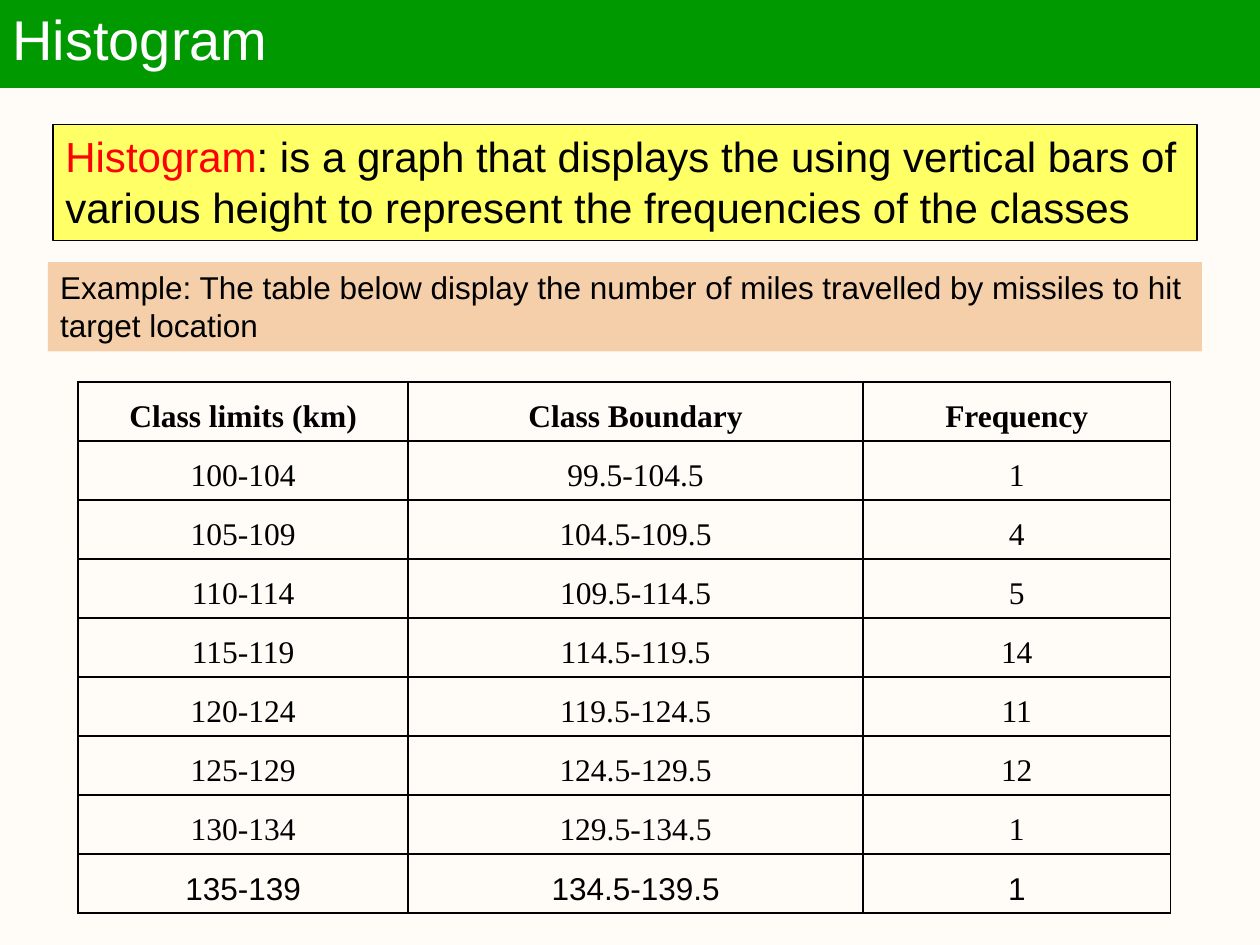
from lxml.etree import SubElement
from pptx import Presentation
from pptx.dml.color import RGBColor
from pptx.enum.shapes import MSO_SHAPE
from pptx.enum.text import MSO_ANCHOR, PP_ALIGN
from pptx.oxml.ns import qn
from pptx.util import Inches, Pt

HUES = {"page": "FFFCF7", "green": "009900", "lemon": "FFFF66", "peach": "F4CFAA",
        "red": "FF0000", "black": "000000", "white": "FFFFFF"}
HEADS = ["Class limits (km)", "Class Boundary", "Frequency"]
COUNTS = [1, 4, 5, 14, 11, 12, 1, 1]
START, STEP = 100, 5
WIDTHS = [2.62, 3.61, 2.44]


def hue(name):
    return RGBColor.from_string(HUES[name])


def add_run(para, text, color="black", **form):
    run = para.add_run()
    run.text = text
    run.font.color.rgb = hue(color)
    for key, value in ({"name": "Arial"} | form).items():
        setattr(run.font, key, value)


def add_panel(slide, box, fill, runs, size, line=None, anchor=MSO_ANCHOR.TOP, lead=None):
    """Draw a filled box holding one paragraph of (text, color) runs."""
    shape = slide.shapes.add_shape(MSO_SHAPE.RECTANGLE, *map(Inches, box))
    shape.shadow.inherit = False
    shape.fill.solid()
    shape.fill.fore_color.rgb = hue(fill)
    if line:
        shape.line.color.rgb = hue(line)
        shape.line.width = Pt(0.75)
    else:
        shape.line.fill.background()
    frame = shape.text_frame
    frame.word_wrap = True
    frame.vertical_anchor = anchor
    para = frame.paragraphs[0]
    para.alignment = PP_ALIGN.LEFT
    if lead:
        para.line_spacing = lead
    for text, color in runs:
        add_run(para, text, color, size=Pt(size))


def add_border(cell):
    props = cell._tc.get_or_add_tcPr()
    for place, side in enumerate(("lnL", "lnR", "lnT", "lnB")):
        line = SubElement(props, qn(f"a:{side}"), w=str(Pt(1)))
        fill = SubElement(line, qn("a:solidFill"))
        SubElement(fill, qn("a:srgbClr"), val=HUES["black"])
        props.insert(place, line)


def class_rows():
    for i, count in enumerate(COUNTS):
        low = START + i * STEP
        high = low + STEP - 1
        yield [f"{low}-{high}", f"{low - 0.5}-{high + 0.5}", str(count)]


def add_grid(slide, box):
    rows = [HEADS, *class_rows()]
    frame = slide.shapes.add_table(len(rows), len(HEADS), *map(Inches, box))
    table = frame.table
    table.first_row = table.horz_banding = False
    for col, width in zip(table.columns, WIDTHS):
        col.width = Inches(width)
    last = len(rows) - 1
    for r, row in enumerate(rows):
        for c, text in enumerate(row):
            cell = table.cell(r, c)
            cell.fill.background()
            cell.vertical_anchor = MSO_ANCHOR.BOTTOM
            add_border(cell)
            para = cell.text_frame.paragraphs[0]
            para.alignment = PP_ALIGN.CENTER
            face = "Arial" if r == last else "Times New Roman"
            add_run(para, text, name=face, size=Pt(18), bold=r == 0)


def main():
    deck = Presentation()
    deck.slide_width, deck.slide_height = Inches(10), Inches(7.5)
    slide = deck.slides.add_slide(deck.slide_layouts[6])
    slide.background.fill.solid()
    slide.background.fill.fore_color.rgb = hue("page")
    add_panel(slide, (0.42, 0.99, 9.08, 0.92), "lemon",
              [("Histogram", "red"),
               (": is a graph that displays the using vertical bars of various height "
                "to represent the frequencies of the classes", "black")],
              24, line="black")
    add_panel(slide, (0.38, 2.08, 9.16, 0.71), "peach",
              [("Example: The table below display the number of miles travelled "
                "by missiles to hit target location", "black")], 18)
    add_grid(slide, (0.62, 3.03, sum(WIDTHS), 4.22))
    add_panel(slide, (0, -0.02, 10, 0.71), "green", [("Histogram", "white")],
              32, line="green", anchor=MSO_ANCHOR.MIDDLE, lead=0.9)
    deck.save("out.pptx")


if __name__ == "__main__":
    main()
